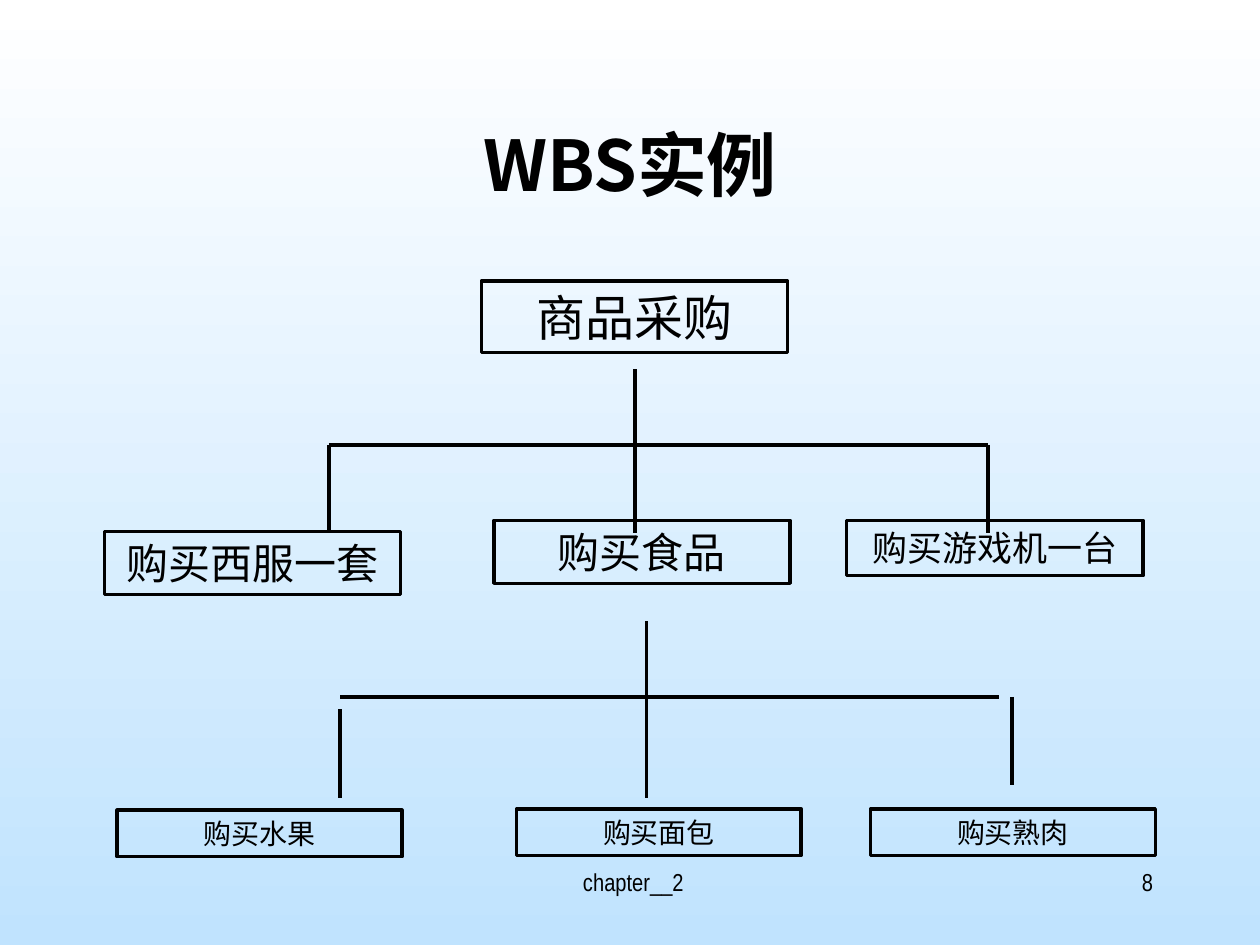
from dataclasses import dataclass

from lxml.etree import SubElement as Sub
from pptx import Presentation
from pptx.dml.color import RGBColor as Rgb
from pptx.enum.shapes import MSO_CONNECTOR as Link, MSO_SHAPE as Form
from pptx.enum.text import MSO_ANCHOR as Anchor, MSO_AUTO_SIZE as Auto, PP_ALIGN as Align
from pptx.oxml.ns import qn
from pptx.util import Inches, Pt

HUES = {"ink": "000000", "top": "FFFFFF", "base": "C0E3FE"}
LATIN, HAN = "Arial Narrow", "Noto Sans CJK SC"


@dataclass
class Box:
    text: str
    left: float
    top: float
    width: float
    height: float
    size: int


@dataclass
class Rule:
    x1: float
    y1: float
    x2: float
    y2: float


ROOT = Box("商品采购", 3.82, 2.23, 2.43, 0.57, 28)
TASKS = [
    Box("购买西服一套", 0.83, 4.22, 2.35, 0.5, 24),
    Box("购买食品", 3.92, 4.13, 2.35, 0.5, 24),
    Box("购买游戏机一台", 6.72, 4.13, 2.35, 0.44, 20),
]
FOODS = [
    Box(text, left, top, 2.26, 0.37, 16)
    for text, left, top in [
        ("购买水果", 0.93, 6.43),
        ("购买面包", 4.1, 6.42),
        ("购买熟肉", 6.91, 6.42),
    ]
]
RULES = [
    Rule(2.61, 3.53, 7.84, 3.53),
    Rule(2.61, 3.53, 2.61, 4.23),
    Rule(7.84, 3.53, 7.84, 4.23),
    Rule(5.04, 2.93, 5.04, 4.23),
    Rule(2.7, 5.53, 7.93, 5.53),
    Rule(2.7, 5.63, 2.7, 6.33),
    Rule(8.03, 5.53, 8.03, 6.23),
    Rule(5.13, 4.93, 5.13, 6.33),
]


def hue(name: str) -> Rgb:
    return Rgb.from_string(HUES[name])


def area(box: Box) -> list:
    return [Inches(n) for n in (box.left, box.top, box.width, box.height)]


def write(shape, box: Box, align=Align.CENTER, face=LATIN, bold=False, **frame) -> None:
    body = shape.text_frame
    for key, value in {"word_wrap": True, "vertical_anchor": Anchor.TOP, **frame}.items():
        setattr(body, key, value)
    para = body.paragraphs[0]
    para.alignment = align
    run = para.add_run()
    run.text = box.text
    for key, value in {"name": face, "size": Pt(box.size), "bold": bold}.items():
        setattr(run.font, key, value)
    run.font.color.rgb = hue("ink")
    Sub(run.font._element, qn("a:ea")).set("typeface", HAN)


def stroke(line) -> None:
    line.color.rgb = hue("ink")
    line.width = Pt(2)


def draw_box(slide, box: Box) -> None:
    shape = slide.shapes.add_shape(Form.RECTANGLE, *area(box))
    shape.shadow.inherit = False
    shape.fill.background()
    stroke(shape.line)
    write(shape, box, auto_size=Auto.SHAPE_TO_FIT_TEXT)


def draw_rule(slide, rule: Rule) -> None:
    ends = [Inches(n) for n in (rule.x1, rule.y1, rule.x2, rule.y2)]
    line = slide.shapes.add_connector(Link.STRAIGHT, *ends)
    stroke(line.line)
    Sub(line._element.spPr, qn("a:effectLst"))


def draw_note(slide, box: Box, align) -> None:
    write(slide.shapes.add_textbox(*area(box)), box, align)


def draw_title(slide, box: Box) -> None:
    title = slide.shapes.title
    for key, value in zip(("left", "top", "width", "height"), area(box)):
        setattr(title, key, value)
    write(title, box, face=HAN, bold=True, vertical_anchor=Anchor.MIDDLE, auto_size=Auto.NONE)


def paint(slide) -> None:
    fill = slide.background.fill
    fill.gradient()
    fill.gradient_angle = 270
    for stop, name, place in zip(fill.gradient_stops, ("top", "base"), (0, 1)):
        stop.color.rgb = hue(name)
        stop.position = place


def main() -> None:
    deck = Presentation()
    deck.slide_width, deck.slide_height = Inches(10), Inches(7.5)
    slide = deck.slides.add_slide(deck.slide_layouts[5])
    paint(slide)
    draw_note(slide, Box(" chapter__2", 3.42, 6.83, 3.17, 0.5, 14), Align.CENTER)
    draw_note(slide, Box("8", 7.17, 6.83, 2.08, 0.5, 14), Align.RIGHT)
    draw_title(slide, Box("WBS实例", 0.75, 0.67, 8.5, 1.25, 40))
    for rule in RULES:
        draw_rule(slide, rule)
    for box in [ROOT, *TASKS, *FOODS]:
        draw_box(slide, box)
    deck.save("out.pptx")


if __name__ == "__main__":
    main()
